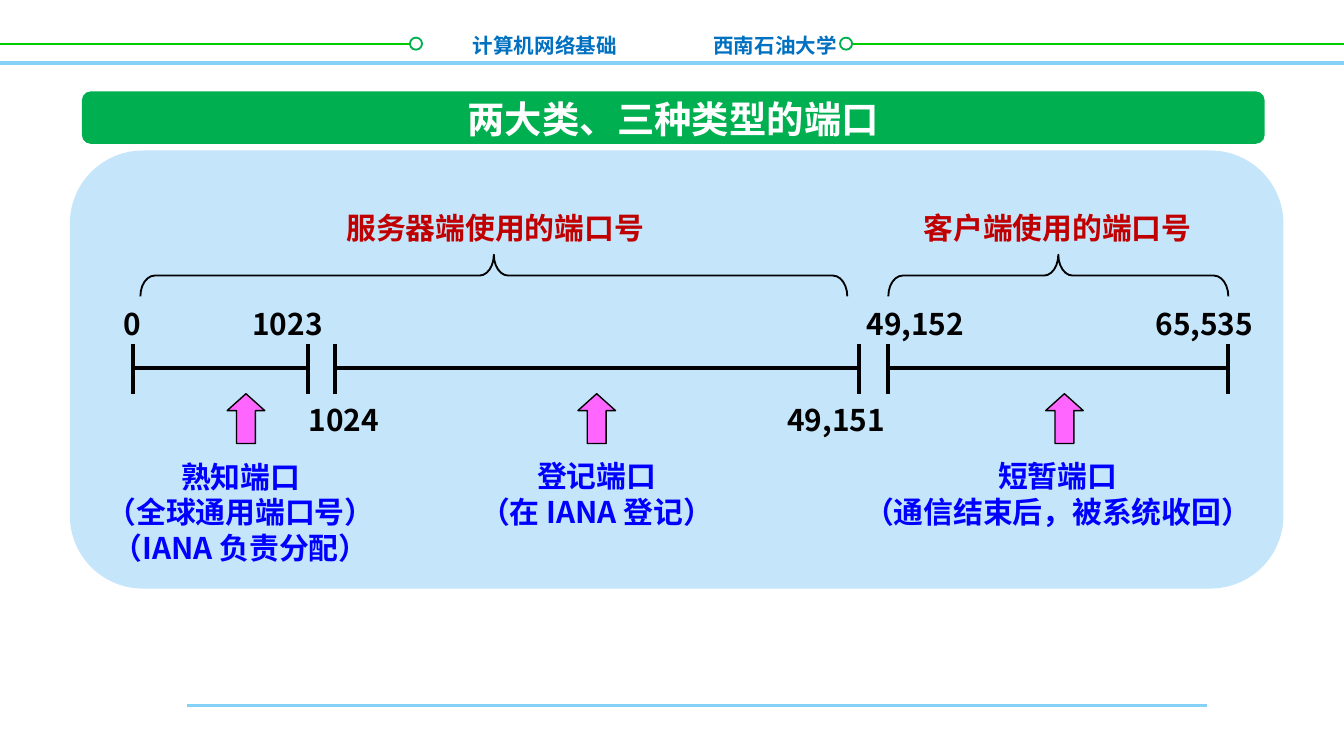
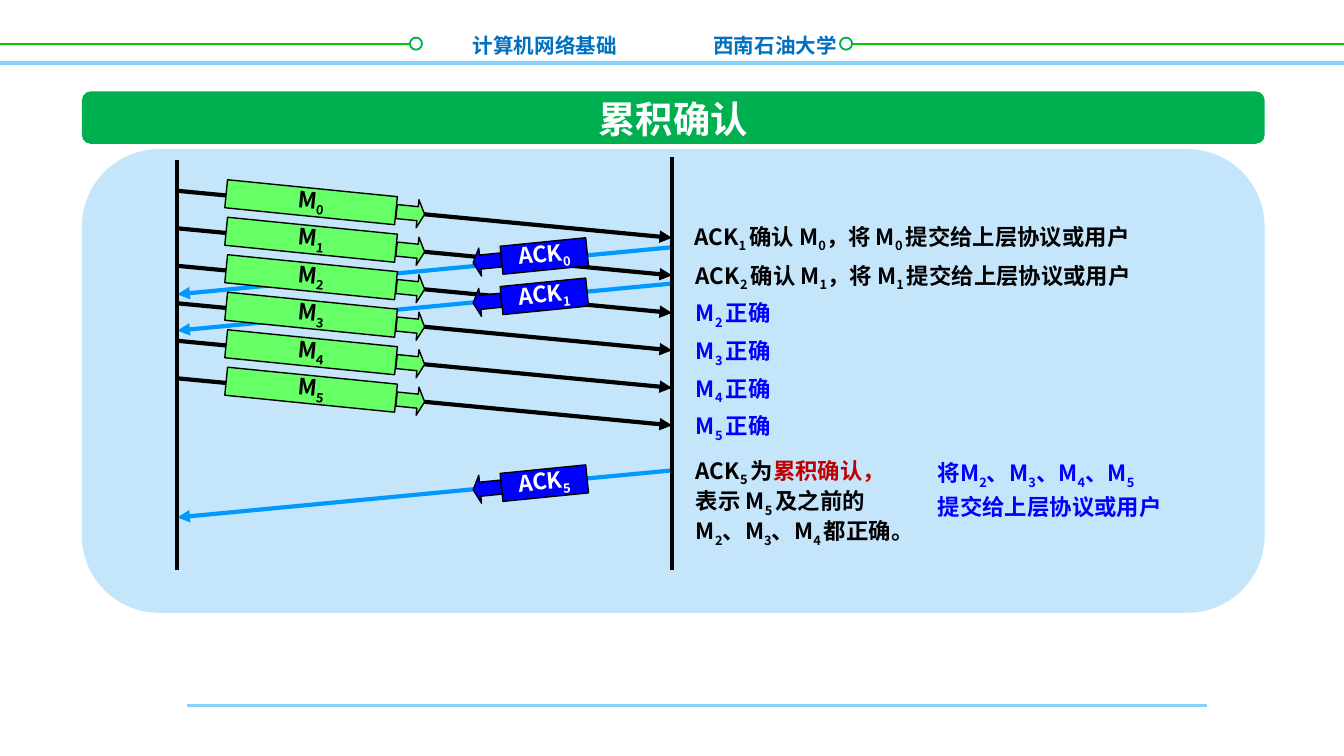
from dataclasses import dataclass
from typing import Optional

from lxml import etree
from pptx import Presentation
from pptx.dml.color import RGBColor
from pptx.enum.shapes import MSO_CONNECTOR, MSO_SHAPE
from pptx.enum.text import MSO_ANCHOR, MSO_AUTO_SIZE, PP_ALIGN
from pptx.oxml.ns import qn
from pptx.util import Inches, Pt

STRAIGHT = MSO_CONNECTOR.STRAIGHT
RECTANGLE = MSO_SHAPE.RECTANGLE
ROUNDED = MSO_SHAPE.ROUNDED_RECTANGLE
OVAL = MSO_SHAPE.OVAL
BRACE = MSO_SHAPE.RIGHT_BRACE
UP_ARROW = MSO_SHAPE.UP_ARROW
RIGHT_ARROW = MSO_SHAPE.RIGHT_ARROW
LEFT_ARROW = MSO_SHAPE.LEFT_ARROW
LEFT, CENTER, RIGHT = PP_ALIGN.LEFT, PP_ALIGN.CENTER, PP_ALIGN.RIGHT
TOP, MIDDLE = MSO_ANCHOR.TOP, MSO_ANCHOR.MIDDLE
GROW = MSO_AUTO_SIZE.SHAPE_TO_FIT_TEXT

FONT = "Noto Sans CJK SC"
WHITE = RGBColor(0xFF, 0xFF, 0xFF)
BLACK = RGBColor(0x00, 0x00, 0x00)
BLUE = RGBColor(0x00, 0x00, 0xFF)
RED = RGBColor(0xC0, 0x00, 0x00)
HEADER_BLUE = RGBColor(0x00, 0x70, 0xC0)
RULE_BLUE = RGBColor(0x85, 0xD1, 0xF7)
RULE_GREEN = RGBColor(0x00, 0xCC, 0x00)
BAND_GREEN = RGBColor(0x00, 0xB0, 0x50)
PANEL_BLUE = RGBColor(0xC5, 0xE5, 0xFB)
PINK = RGBColor(0xFF, 0x66, 0xFF)
MESSAGE_GREEN = RGBColor(0x66, 0xFF, 0x66)
ACK_BLUE = RGBColor(0x00, 0x99, 0xFF)

# The grid has 100 columns and 56.25 rows of square cells.
SLIDE_WIDTH, SLIDE_HEIGHT = Inches(10), Inches(5.625)
CELL = SLIDE_WIDTH / 100

TILT = 5.7
SENDER_X, RECEIVER_X = 13.2, 50
FALL = 3.5
MESSAGE_STEP = 2.79


@dataclass(frozen=True)
class Box:
    """A place on the grid, in columns and rows."""
    left: float
    top: float
    width: float
    height: float

    def lengths(self) -> list[int]:
        return [round(value * CELL) for value in
                (self.left, self.top, self.width, self.height)]


@dataclass(frozen=True)
class Label:
    box: Box
    lines: tuple[str, ...]
    size: float
    color: RGBColor
    align: int = LEFT
    leading: float = 1.3
    wrap: bool = False


@dataclass(frozen=True)
class Portrange:
    start: float
    end: float
    arrow_left: float
    caption_left: float
    caption_width: float
    caption: tuple[str, ...]


@dataclass(frozen=True)
class Acknowledgement:
    number: int
    line_top: float
    tag_top: float


PORT_RANGES = (
    Portrange(9.9, 22.9, 16.9, 6.8, 22.2,
              ("熟知端口", "（全球通用端口号）", "（IANA 负责分配）")),
    Portrange(24.9, 63.9, 43, 34.1, 20.6, ("登记端口", "（在 IANA 登记）")),
    Portrange(66.1, 91.4, 77.8, 63.1, 31.2,
              ("短暂端口", "（通信结束后，被系统收回）")),
)
PORT_NUMBERS = (
    ("0", 8.2, 22, 3.4), ("1023", 17.8, 22, 7.6), ("1024", 22, 29.2, 7.6),
    ("49,151", 57.6, 29.2, 9.6), ("49,152", 63.5, 22, 9.6),
    ("65,535", 85, 22, 9.6),
)
# Text, text left, text width, brace centre, brace span
PORT_USERS = (
    ("服务器端使用的端口号", 24.6, 24.5, 36.75, 52.6),
    ("客户端使用的端口号", 67.6, 22.2, 78.75, 25.3),
)
# Messages (by number) and acknowledgements, in drawing order
EXCHANGE = (0, 1, Acknowledgement(0, 18.4, 18), 2, Acknowledgement(1, 21.1, 21),
            3, 4, 5, Acknowledgement(5, 35, 34.9))


def add_run(paragraph, text: str, size: float, color: RGBColor,
            subscript: bool = False) -> None:
    run = paragraph.add_run()
    run.text = text
    for name, value in {"size": Pt(size), "bold": True, "name": FONT}.items():
        setattr(run.font, name, value)
    run.font.color.rgb = color
    properties = run._r.find(qn("a:rPr"))
    etree.SubElement(properties, qn("a:ea")).set("typeface", FONT)
    if subscript:
        properties.set("baseline", "-25000")


def add_marked_text(paragraph, text: str, size: float, color: RGBColor) -> None:
    """Write text in which _ lowers the next character and * * marks red."""
    for index, piece in enumerate(text.split("*")):
        piece_color = RED if index % 2 else color
        plain, *lowered = piece.split("_")
        if plain:
            add_run(paragraph, plain, size, piece_color)
        for part in lowered:
            cut = 2 if part[1:2] == " " else 1
            add_run(paragraph, part[:cut], size, piece_color, subscript=True)
            if part[cut:]:
                add_run(paragraph, part[cut:], size, piece_color)


def write_lines(frame, label: Label) -> None:
    for index, line in enumerate(label.lines):
        paragraph = frame.add_paragraph() if index else frame.paragraphs[0]
        paragraph.alignment = label.align
        paragraph.line_spacing = Pt(round(label.size * label.leading, 1))
        add_marked_text(paragraph, line, label.size, label.color)


def fill_text_box(shape, label: Label) -> None:
    frame = shape.text_frame
    for name, value in {"word_wrap": label.wrap, "auto_size": GROW,
                        "vertical_anchor": TOP}.items():
        setattr(frame, name, value)
    write_lines(frame, label)


def add_label(slide, label: Label) -> None:
    fill_text_box(slide.shapes.add_textbox(*label.box.lengths()), label)


def add_line(slide, start: tuple[float, float], end: tuple[float, float],
             color: RGBColor = BLACK, width: float = 2.25,
             arrow: bool = False) -> None:
    points = [round(value * CELL) for value in (*start, *end)]
    connector = slide.shapes.add_connector(STRAIGHT, *points)
    connector.line.color.rgb = color
    connector.line.width = Pt(width)
    properties = connector.element.spPr
    if arrow:
        outline = properties.find(qn("a:ln"))
        etree.SubElement(outline, qn("a:tailEnd")).set("type", "triangle")
    etree.SubElement(properties, qn("a:effectLst"))


def add_figure(slide, kind: int, box: Box, fill: Optional[RGBColor] = None,
               line: Optional[RGBColor] = None, width: float = 0.75,
               rotation: float = 0, adjustments: tuple[float, ...] = ()):
    shape = slide.shapes.add_shape(kind, *box.lengths())
    shape.shadow.inherit = False
    shape.rotation = rotation
    for index, value in enumerate(adjustments):
        shape.adjustments[index] = value
    if fill is None:
        shape.fill.background()
    else:
        shape.fill.solid()
        shape.fill.fore_color.rgb = fill
    if line is None:
        shape.line.fill.background()
    else:
        shape.line.color.rgb = line
        shape.line.width = Pt(width)
    return shape


def draw_frame(slide, layout) -> None:
    """Draw the header, footer rule and title band, then move them to the layout."""
    add_line(slide, (13.9, 52.5), (89.8, 52.5), RULE_BLUE, 1.5)
    add_line(slide, (0, 4.7), (100, 4.7), RULE_BLUE, 2)
    for start, end, ring_left in ((0, 31, 30.5), (62.5, 100, 62.5)):
        add_line(slide, (start, 3.3), (end, 3.3), RULE_GREEN, 1)
        add_figure(slide, OVAL, Box(ring_left, 2.8, 0.9, 0.9), WHITE, BAND_GREEN, 1)
    add_label(slide, Label(Box(52.1, 1.8, 11.6, 2.8), ("西南石油大学",), 11,
                           HEADER_BLUE, wrap=True))
    add_label(slide, Label(Box(34.2, 1.8, 12.7, 2.8), ("计算机网络基础",), 11,
                           HEADER_BLUE, RIGHT))
    add_figure(slide, ROUNDED, Box(6.1, 6.8, 88, 3.9), BAND_GREEN)
    for placeholder in list(layout.placeholders)[1:]:
        layout.shapes.element.remove(placeholder.element)
    for shape in list(slide.shapes):
        if not shape.is_placeholder:
            layout.shapes.element.append(shape.element)


def set_title(slide, text: str) -> None:
    width = 2 + 2.8 * len(text)
    box = Box(50.1 - width / 2, 6.4, width, 4.4)
    title = slide.shapes.title
    for name, value in zip(("left", "top", "width", "height"), box.lengths()):
        setattr(title, name, value)
    fill_text_box(title, Label(box, (text,), 20, WHITE, CENTER))


def draw_ports(slide) -> None:
    add_figure(slide, ROUNDED, Box(5.2, 11.2, 90.3, 32.6), PANEL_BLUE)
    for ports in PORT_RANGES:
        add_line(slide, (ports.start, 27.4), (ports.end, 27.4))
        for tick in (ports.start, ports.end):
            add_line(slide, (tick, 25.6), (tick, 29.3))
        add_figure(slide, UP_ARROW, Box(ports.arrow_left, 29.3, 2.8, 3.7), PINK,
                   BLACK, adjustments=(0.5, 0.45))
        height = 1 + 2.7 * len(ports.caption)
        add_label(slide, Label(
            Box(ports.caption_left, 33.6, ports.caption_width, height),
            ports.caption, 16, BLUE, CENTER, 1.2))
    for number, left, top, width in PORT_NUMBERS:
        add_label(slide, Label(Box(left, top, width, 3.7), (number,), 16, BLACK))
    for text, left, width, center, span in PORT_USERS:
        add_label(slide, Label(Box(left, 14.9, width, 3.7), (text,), 16, RED, CENTER))
        add_figure(slide, BRACE, Box(center - 1.55, 20.5 - span / 2, 3.1, span),
                   line=BLACK, width=1, rotation=270, adjustments=(0.345, 0.5))


def add_tag(slide, box: Box, text: str, fill: RGBColor, color: RGBColor,
            rotation: float, arrow_kind: int, arrow_box: Box) -> None:
    """Add a tilted name plate and the block arrow in front of it."""
    plate = add_figure(slide, RECTANGLE, box, fill, BLACK, rotation=rotation)
    frame = plate.text_frame
    for name, value in {"word_wrap": False, "vertical_anchor": MIDDLE,
                        "margin_top": 0, "margin_bottom": 0}.items():
        setattr(frame, name, value)
    write_lines(frame, Label(box, (text,), 12, color, CENTER))
    add_figure(slide, arrow_kind, arrow_box, fill, BLACK, rotation=rotation,
               adjustments=(0.5, 0.25))


def add_message(slide, number: int) -> None:
    top = 14 + MESSAGE_STEP * number
    add_line(slide, (SENDER_X, top + 0.2), (RECEIVER_X, top + 0.2 + FALL), arrow=True)
    add_tag(slide, Box(16.8, top, 12.7, 2.1), f"M_{number}", MESSAGE_GREEN, BLACK,
            TILT, RIGHT_ARROW, Box(29.5, top + 0.8, 2.1, 2.1))


def add_acknowledgement(slide, ack: Acknowledgement) -> None:
    add_line(slide, (RECEIVER_X, ack.line_top), (SENDER_X, ack.line_top + FALL),
             ACK_BLUE, arrow=True)
    add_tag(slide, Box(37.3, ack.tag_top, 6.4, 2.1), f"ACK_{ack.number}", BLUE, WHITE,
            360 - TILT, LEFT_ARROW, Box(35.2, ack.tag_top + 0.4, 2.1, 2.1))


def draw_exchange(slide) -> None:
    add_figure(slide, ROUNDED, Box(6.1, 11.1, 88, 34.5), PANEL_BLUE)
    for event in EXCHANGE:
        if isinstance(event, Acknowledgement):
            add_acknowledgement(slide, event)
        else:
            add_message(slide, event)
    for axis, top in ((RECEIVER_X, 11.7), (SENDER_X, 11.9)):
        add_line(slide, (axis, top), (axis, 42.4))
    for index, (left, top, width) in enumerate(((50.7, 16.2, 43.4), (50.8, 19.1, 41))):
        text = f"ACK_{index + 1} 确认 M_{index}，将 M_{index} 提交给上层协议或用户"
        add_label(slide, Label(Box(left, top, width, 3), (text,), 12, BLACK, wrap=True))
    for index in range(4):
        add_label(slide, Label(Box(50.8, 21.9 + 2.8 * index, 8.3, 3),
                               (f"M_{index + 2} 正确",), 12, BLUE))
    add_label(slide, Label(
        Box(50.8, 33.5, 20.6, 7.1),
        ("ACK_5 为*累积确认，*", "表示 M_5 及之前的", "M_2、M_3、M_4 都正确。"),
        12, BLACK, leading=1.36))
    add_label(slide, Label(
        Box(68.8, 33.7, 21.3, 5), ("将M_2、M_3、M_4、M_5", "提交给上层协议或用户"),
        12, BLUE, leading=1.36, wrap=True))


def main() -> None:
    presentation = Presentation()
    presentation.slide_width, presentation.slide_height = SLIDE_WIDTH, SLIDE_HEIGHT
    layout = presentation.slide_layouts[5]
    pages = (("两大类、三种类型的端口", draw_ports), ("累积确认", draw_exchange))
    for index, (title, draw) in enumerate(pages):
        slide = presentation.slides.add_slide(layout)
        if index == 0:
            draw_frame(slide, layout)
        set_title(slide, title)
        draw(slide)
    presentation.save("out.pptx")


if __name__ == "__main__":
    main()
